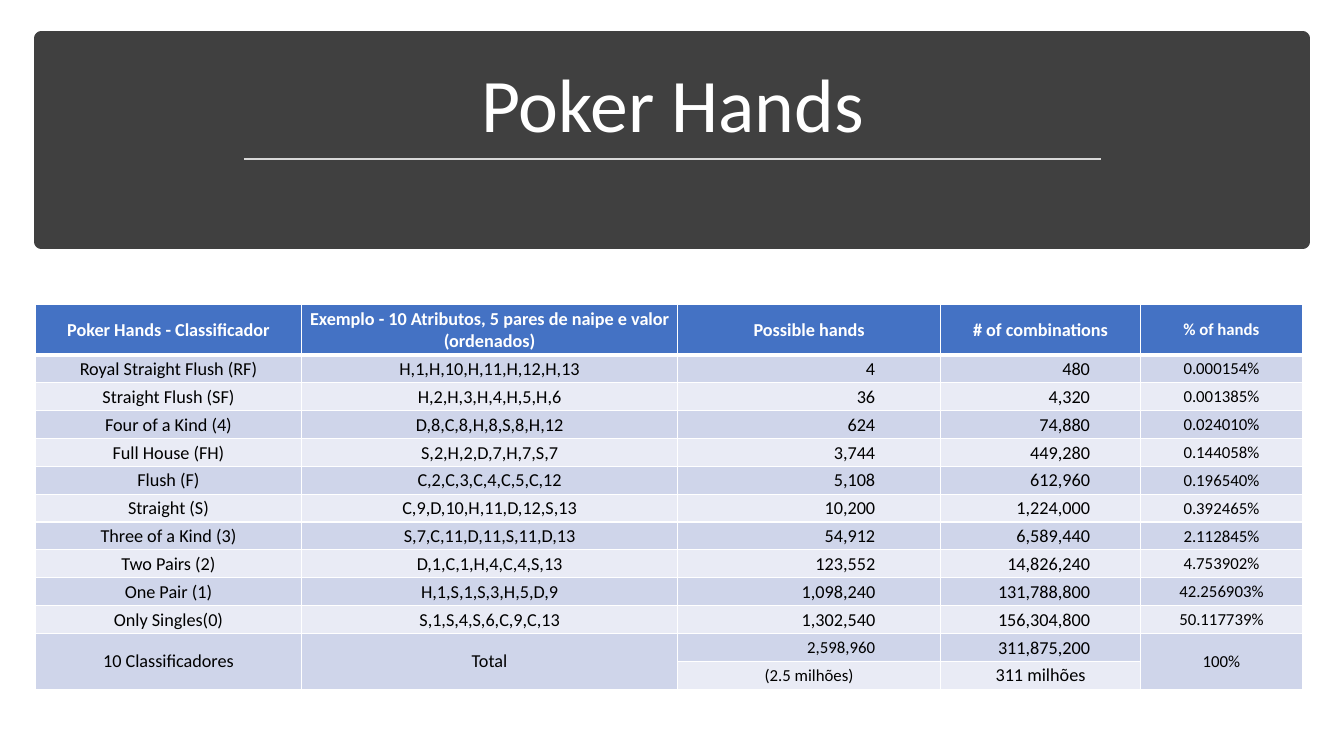
from dataclasses import dataclass

from lxml import etree
from pptx import Presentation
from pptx.dml.color import RGBColor
from pptx.enum.shapes import MSO_CONNECTOR, MSO_SHAPE
from pptx.enum.text import MSO_ANCHOR, PP_ALIGN
from pptx.oxml.ns import qn
from pptx.util import Inches, Pt

RECTANGLE = MSO_SHAPE.RECTANGLE
STRAIGHT = MSO_CONNECTOR.STRAIGHT
CENTER, RIGHT = PP_ALIGN.CENTER, PP_ALIGN.RIGHT
MIDDLE, BOTTOM = MSO_ANCHOR.MIDDLE, MSO_ANCHOR.BOTTOM


@dataclass(frozen=True)
class Theme:
    """Colours, font and type sizes of the slide."""
    font: str = "Calibri"
    banner: str = "404040"
    rule: str = "D9D9D9"
    header: str = "4472C4"
    bands: tuple = ("CFD5EA", "E9EBF5")
    light: str = "FFFFFF"
    dark: str = "000000"
    title_size: int = 54
    body_size: int = 13
    small_size: int = 12


THEME = Theme()
BANNER_BOX = (0.41, 0.38, 12.51, 2.02)
TABLE_BOX = (0.35, 3.02, 12.57, 3.82)
COLUMN_WIDTHS = (2.64, 3.73, 2.61, 1.98, 1.61)
HEADER_HEIGHT = 0.5
NUMBER_MARGINS = {2: 0.65, 3: 0.5}
PERCENT_COLUMN = 4
MERGED_COLUMNS = (0, 1, 4)

HANDS = (
    ("Poker Hands - Classificador",
     "Exemplo - 10 Atributos, 5 pares de naipe e valor (ordenados)",
     "Possible hands", "# of combinations", "% of hands"),
    ("Royal Straight Flush (RF)", "H,1,H,10,H,11,H,12,H,13", "4", "480", "0.000154%"),
    ("Straight Flush (SF)", "H,2,H,3,H,4,H,5,H,6", "36", "4,320", "0.001385%"),
    ("Four of a Kind (4)", "D,8,C,8,H,8,S,8,H,12", "624", "74,880", "0.024010%"),
    ("Full House (FH)", "S,2,H,2,D,7,H,7,S,7", "3,744", "449,280", "0.144058%"),
    ("Flush (F)", "C,2,C,3,C,4,C,5,C,12", "5,108", "612,960", "0.196540%"),
    ("Straight (S)", "C,9,D,10,H,11,D,12,S,13", "10,200", "1,224,000", "0.392465%"),
    ("Three of a Kind (3)", "S,7,C,11,D,11,S,11,D,13", "54,912", "6,589,440", "2.112845%"),
    ("Two Pairs (2)", "D,1,C,1,H,4,C,4,S,13", "123,552", "14,826,240", "4.753902%"),
    ("One Pair (1)", "H,1,S,1,S,3,H,5,D,9", "1,098,240", "131,788,800", "42.256903%"),
    ("Only Singles(0)", "S,1,S,4,S,6,C,9,C,13", "1,302,540", "156,304,800", "50.117739%"),
    ("10 Classificadores", "Total", "2,598,960", "311,875,200", "100%"),
    ("", "", "(2.5 milhões)", "311 milhões", ""),
)
LAST_ROW = len(HANDS) - 1
TOTAL_ROW = LAST_ROW - 1


def set_values(target, values):
    """Set each named attribute of the target."""
    for name, value in values.items():
        setattr(target, name, value)


def write_text(paragraph, text, size, color, bold=False, alignment=CENTER):
    """Put one formatted run in the paragraph."""
    paragraph.alignment = alignment
    run = paragraph.add_run()
    run.text = text
    set_values(run.font, {"name": THEME.font, "size": Pt(size), "bold": bold})
    run.font.color.rgb = RGBColor.from_string(color)


def fill_solid(target, color):
    """Give a shape, line or cell a solid fill."""
    target.fill.solid()
    target.fill.fore_color.rgb = RGBColor.from_string(color)


def add_banner(slide, box):
    """Draw the dark banner with its title and underline."""
    left, top, width, height = box
    panel = slide.shapes.add_shape(RECTANGLE, *map(Inches, box))
    panel.shadow.inherit = False
    fill_solid(panel, THEME.banner)
    fill_solid(panel.line, THEME.banner)
    panel.line.width = Pt(10)

    title = slide.shapes.add_textbox(Inches(left + 0.17), Inches(top + 0.13),
                                     Inches(width - 0.33), Inches(height / 2 + 0.01))
    set_values(title.text_frame, {"word_wrap": True, "vertical_anchor": BOTTOM})
    paragraph = title.text_frame.paragraphs[0]
    paragraph.line_spacing = 0.9
    write_text(paragraph, "Poker Hands", THEME.title_size, THEME.light)

    rule_left, rule_top = Inches(left + 2.01), Inches(top + 1.2)
    rule = slide.shapes.add_connector(STRAIGHT, rule_left, rule_top,
                                      rule_left + Inches(8.5), rule_top)
    fill_solid(rule.line, THEME.rule)
    rule.line.width = Pt(1.75)
    etree.SubElement(rule._element.spPr, qn("a:effectLst"))


def add_borders(cell, row):
    """Draw white cell borders, thicker below the header row."""
    properties = cell._tc.get_or_add_tcPr()
    widths = {"lnL": 1, "lnR": 1, "lnT": 3 if row == 1 else 1, "lnB": 3 if row == 0 else 1}
    for edge, width in widths.items():
        line = etree.SubElement(properties, qn(f"a:{edge}"), w=str(Pt(width)))
        fill = etree.SubElement(line, qn("a:solidFill"))
        etree.SubElement(fill, qn("a:srgbClr"), val=THEME.light)


def format_cell(cell, row, column, text):
    """Style one cell by its row and column and write its text."""
    is_header = row == 0
    is_number = column in NUMBER_MARGINS and 0 < row < LAST_ROW
    is_small = column == PERCENT_COLUMN or (column == 2 and row >= TOTAL_ROW)
    right_margin = NUMBER_MARGINS[column] if is_number else 0.01
    set_values(cell, {"margin_left": Inches(0.01), "margin_top": Inches(0.01),
                      "margin_right": Inches(right_margin), "margin_bottom": 0,
                      "vertical_anchor": MIDDLE})
    add_borders(cell, row)
    fill_solid(cell, THEME.header if is_header else THEME.bands[(row - 1) % 2])
    if text:
        write_text(cell.text_frame.paragraphs[0], text,
                   THEME.small_size if is_small else THEME.body_size,
                   THEME.light if is_header else THEME.dark,
                   is_header, RIGHT if is_number else CENTER)


def add_hands_table(slide, box):
    """Build the table of hands with its merged total row."""
    height = box[3]
    table = slide.shapes.add_table(len(HANDS), len(COLUMN_WIDTHS), *map(Inches, box)).table
    for column, width in zip(table.columns, COLUMN_WIDTHS):
        column.width = Inches(width)
    for index, row in enumerate(table.rows):
        row.height = Inches((height - HEADER_HEIGHT) / LAST_ROW if index else HEADER_HEIGHT)
    for row, texts in enumerate(HANDS):
        for column, text in enumerate(texts):
            format_cell(table.cell(row, column), row, column, text)
    for column in MERGED_COLUMNS:
        table.cell(TOTAL_ROW, column).merge(table.cell(LAST_ROW, column))


def main():
    """Create the slide and save the presentation."""
    presentation = Presentation()
    set_values(presentation, {"slide_width": Inches(13.33), "slide_height": Inches(7.5)})
    slide = presentation.slides.add_slide(presentation.slide_layouts[6])
    add_banner(slide, BANNER_BOX)
    add_hands_table(slide, TABLE_BOX)
    presentation.save("out.pptx")


main()
